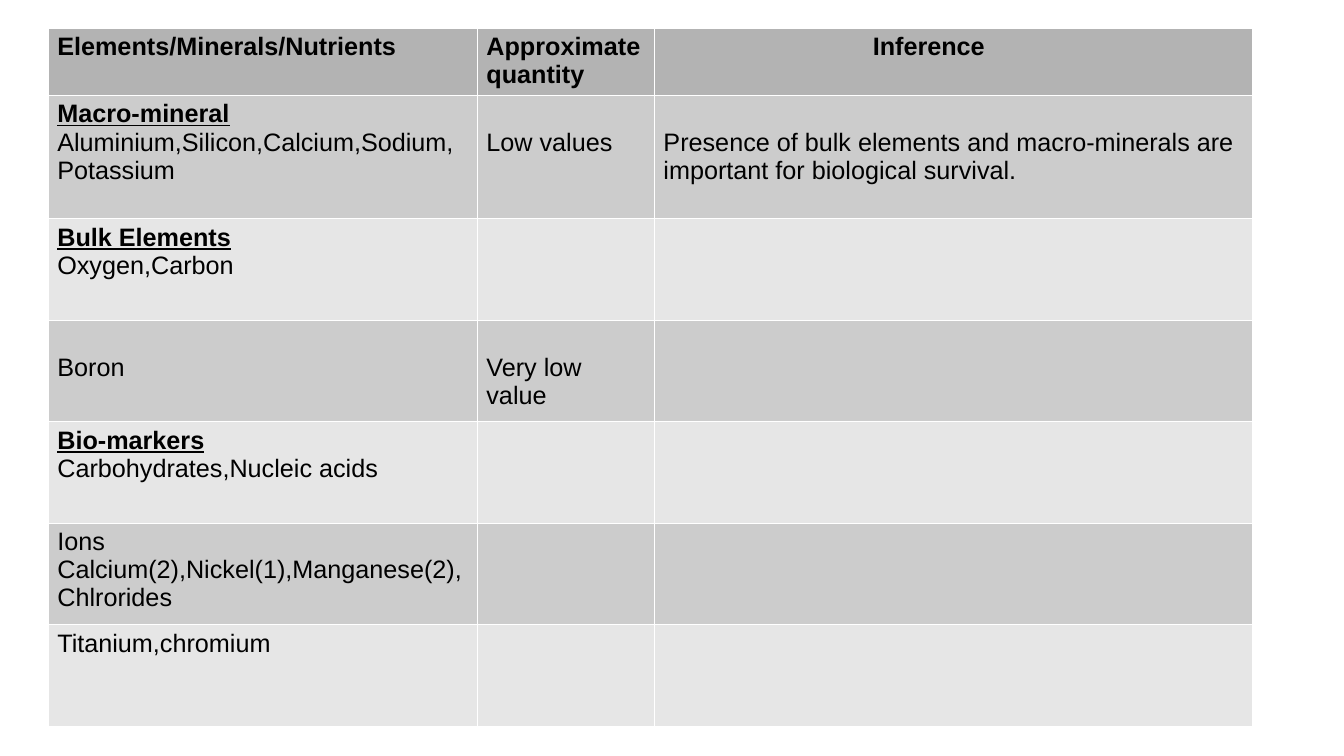
from lxml import etree
from pptx import Presentation
from pptx import util as u
from pptx.dml.color import RGBColor
from pptx.enum import text
from pptx.oxml.ns import qn

PX = 6350  # 144 px to the inch
THEME = dict(font="Arial", size=18, ink="000000", line="FFFFFF",
             head="B3B3B3", dark="CCCCCC", light="E6E6E6")


def write(cell, lines, bold=False, title=False, left=14, top=7):
    """Fill a cell with one paragraph per line; a title is the first line."""
    cell.margin_left, cell.margin_right = left * PX, 14 * PX
    cell.margin_top, cell.margin_bottom = top * PX, 7 * PX
    cell.vertical_anchor = text.MSO_ANCHOR.TOP
    frame = cell.text_frame
    frame.word_wrap = True
    frame.text = "\n".join(lines)
    for i, para in enumerate(frame.paragraphs):
        para.alignment = text.PP_ALIGN.LEFT
        font = para.font
        for run in para.runs:
            font = run.font
            font.underline = title and i == 0
            font.bold = bold or (title and i == 0)
        font.name = THEME["font"]
        font.size = u.Pt(THEME["size"])
        font.color.rgb = RGBColor.from_string(THEME["ink"])


def paint(cell, fill):
    """Draw hairline borders, then the fill."""
    props = cell._tc.get_or_add_tcPr()
    for side in ("a:lnL", "a:lnR", "a:lnT", "a:lnB"):
        line = etree.SubElement(props, qn(side), w=str(u.Pt(0.06)))
        solid = etree.SubElement(line, qn("a:solidFill"))
        etree.SubElement(solid, qn("a:srgbClr"), val=THEME["line"])
    cell.fill.solid()
    cell.fill.fore_color.rgb = RGBColor.from_string(fill)


deck = Presentation()
deck.slide_width, deck.slide_height = 1920 * PX, 1080 * PX
slide = deck.slides.add_slide(deck.slide_layouts[6])

# Table grid
cols = [613, 253, 855]
rows = [96, 176] + [145] * 5
table = slide.shapes.add_table(
    len(rows), len(cols), 68 * PX, 40 * PX, sum(cols) * PX, sum(rows) * PX).table
table.first_row = table.horz_banding = False
for col, width in zip(table.columns, cols):
    col.width = width * PX
for row, height in zip(table.rows, rows):
    row.height = height * PX

# Wording by row and column, with its format
LOW = dict(top=48)  # one line down
TITLE = dict(title=True)
HEAD = dict(bold=True)
words = {
    (0, 0): (["Elements/Minerals/Nutrients"], HEAD),
    (0, 1): (["Approximate quantity"], HEAD),
    (0, 2): (["Inference"], dict(bold=True, left=313)),
    (1, 0): (["Macro-mineral", "Aluminium,Silicon,Calcium,Sodium,", "Potassium"], TITLE),
    (1, 1): (["Low values"], LOW),
    (1, 2): (["Presence of bulk elements and macro-minerals are "
              "important for biological survival."], LOW),
    (2, 0): (["Bulk Elements", "Oxygen,Carbon"], TITLE),
    (3, 0): (["Boron"], LOW),
    (3, 1): (["Very low value"], LOW),
    (4, 0): (["Bio-markers", "Carbohydrates,Nucleic acids"], TITLE),
    (5, 0): (["Ions", "Calcium(2),Nickel(1),Manganese(2),", "Chlrorides"], {}),
    (6, 0): (["Titanium,chromium"], {}),
}

# Cells, banded below the header
for r in range(len(rows)):
    fill = THEME["head" if r == 0 else "dark" if r % 2 else "light"]
    for c in range(len(cols)):
        cell = table.cell(r, c)
        paint(cell, fill)
        lines, form = words.get((r, c), ([], {}))
        write(cell, lines, **form)

deck.save("out.pptx")
